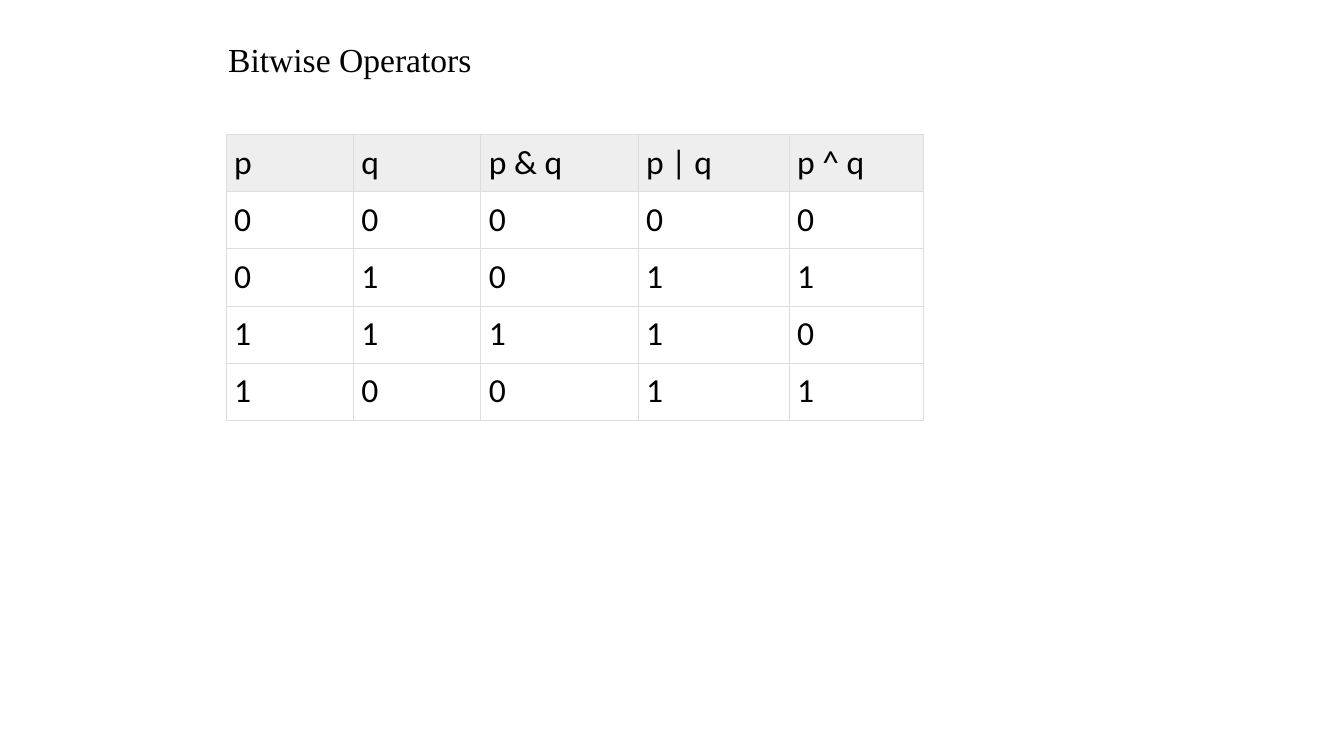
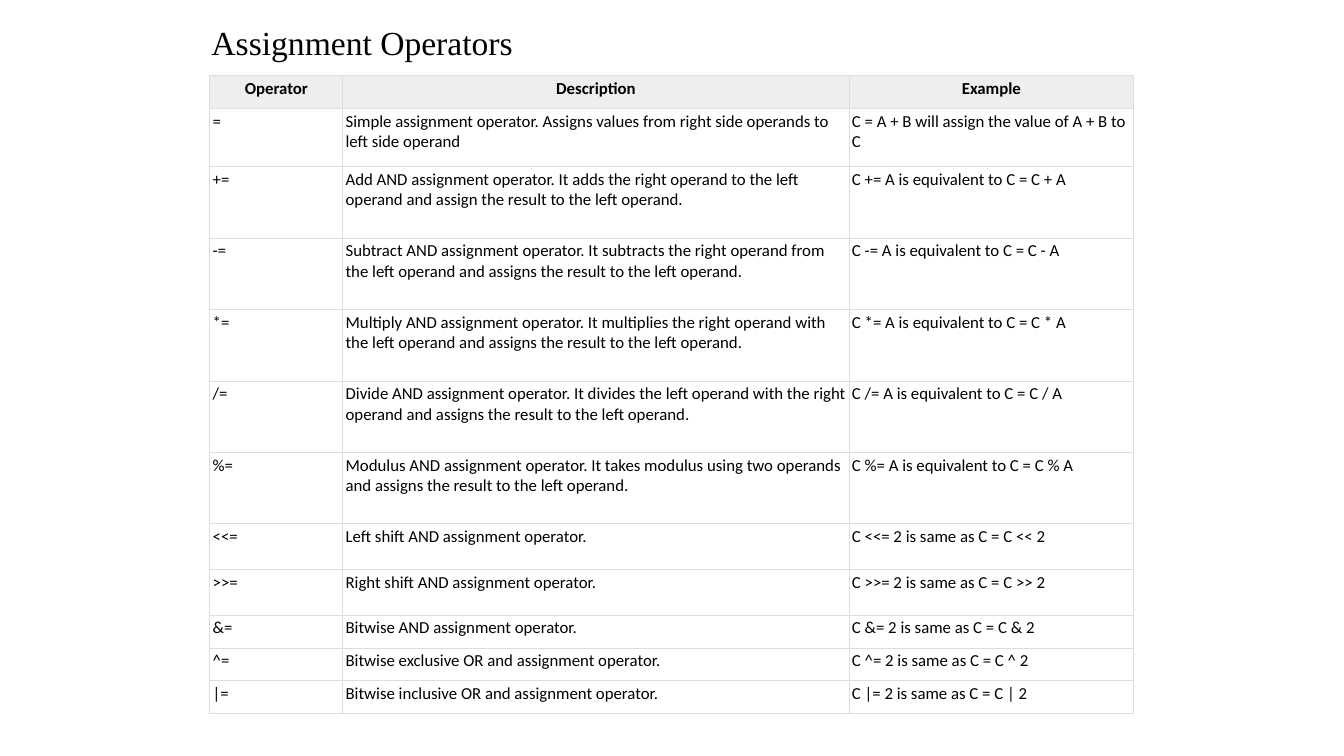
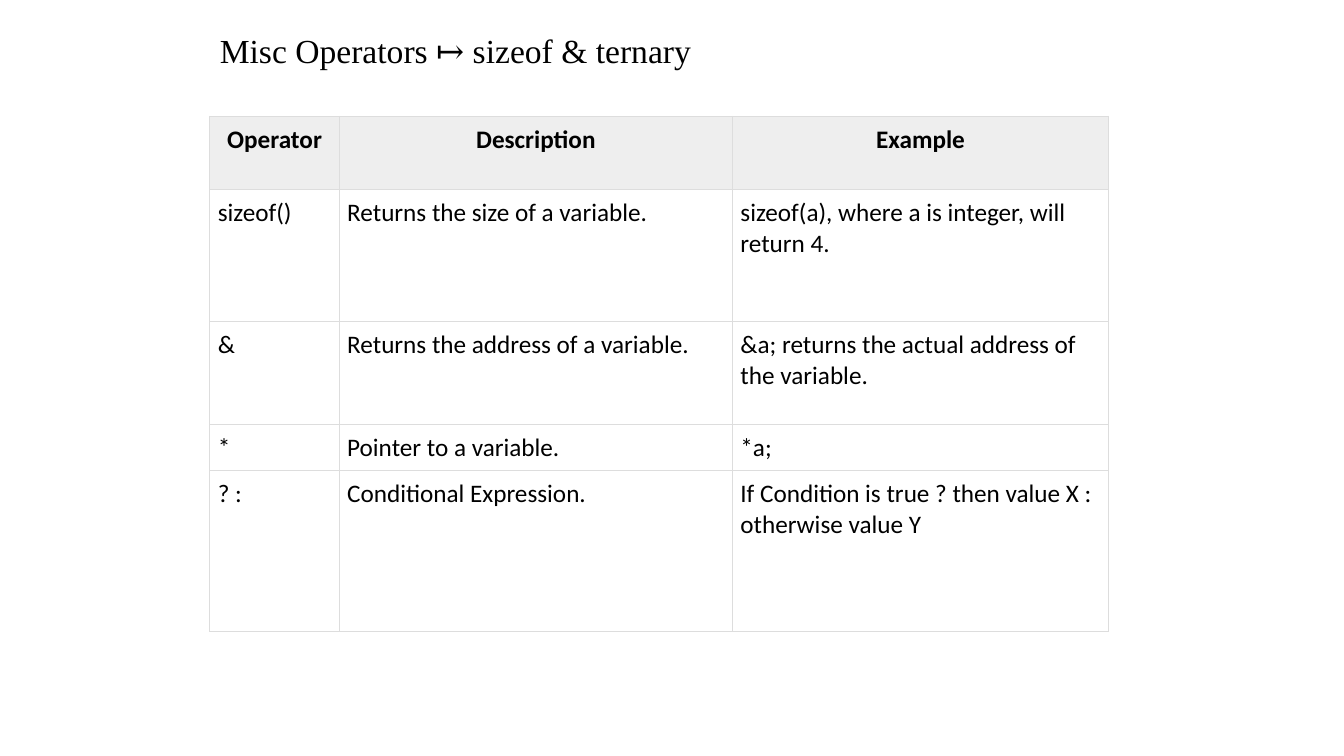
from lxml.etree import SubElement
from pptx import Presentation
from pptx.dml.color import RGBColor
from pptx.enum.text import MSO_AUTO_SIZE as AutoSize, PP_ALIGN as Align
from pptx.oxml.ns import qn
from pptx.util import Cm, Pt

COLORS = {"text": "000000", "header": "EEEEEE", "grid": "DDDDDD"}
TITLE_FONT, TABLE_FONT = "Times New Roman", "Calibri"
TITLE_SIZE, TITLE_HEIGHT = 24, 2.31
GRID_WIDTH = Pt(0.75)


def write(paragraph, text, font, size, bold=False):
    """Add one styled run to a paragraph."""
    run = paragraph.add_run()
    run.text = text
    run.font.name = font
    run.font.size = Pt(size)
    run.font.bold = bold
    run.font.color.rgb = RGBColor.from_string(COLORS["text"])


def add_title(slide, text, left, top, width):
    """Place the slide title in a box of the shared height."""
    title = slide.shapes.add_textbox(Cm(left), Cm(top), Cm(width), Cm(TITLE_HEIGHT))
    frame = title.text_frame
    frame.word_wrap = True
    frame.auto_size = AutoSize.SHAPE_TO_FIT_TEXT
    write(frame.paragraphs[0], text, TITLE_FONT, TITLE_SIZE)


def draw_grid(cell):
    """Draw thin grid lines on all four sides of a cell."""
    properties = cell._tc.get_or_add_tcPr()
    for side in ("a:lnL", "a:lnR", "a:lnT", "a:lnB"):
        line = SubElement(properties, qn(side), w=str(GRID_WIDTH))
        fill = SubElement(line, qn("a:solidFill"))
        SubElement(fill, qn("a:srgbClr"), val=COLORS["grid"])


def add_operator_table(slide, left, top, widths, heights, rows, size, inset,
                       strong_header=True):
    """Place a table with a shaded first row, sized by its columns and rows."""
    table = slide.shapes.add_table(
        len(rows), len(widths), Cm(left), Cm(top), Cm(sum(widths)), Cm(sum(heights))
    ).table
    table.first_row = table.horz_banding = False
    for column, width in zip(table.columns, widths):
        column.width = Cm(width)
    for row_index, (row, height) in enumerate(zip(rows, heights)):
        table.rows[row_index].height = Cm(height)
        is_header = row_index == 0
        for column_index, text in enumerate(row):
            cell = table.cell(row_index, column_index)
            cell.margin_left = cell.margin_right = Cm(inset)
            cell.margin_top = cell.margin_bottom = Cm(inset)
            draw_grid(cell)
            if is_header:
                cell.fill.solid()
                cell.fill.fore_color.rgb = RGBColor.from_string(COLORS["header"])
            else:
                cell.fill.background()
            paragraph = cell.text_frame.paragraphs[0]
            emphasized = is_header and strong_header
            paragraph.alignment = Align.CENTER if emphasized else Align.LEFT
            write(paragraph, text, TABLE_FONT, size, emphasized)


def bitwise_slide(slide):
    """Truth table of the bitwise operators."""
    add_title(slide, "Bitwise Operators", 5.5, 0.85, 19.9)
    truth_table = [("p", "q", "p & q", "p | q", "p ^ q"),
                   "00000", "01011", "11110", "10011"]
    add_operator_table(slide, 5.7, 3.39, [3.21, 3.21, 3.96, 3.81, 3.38],
                       [1.44] * len(truth_table), truth_table, 24, 0.2,
                       strong_header=False)


def assignment_slide(slide):
    """Reference table of the assignment operators."""
    add_title(slide, "Assignment Operators", 5.08, 0.42, 21.4)
    arithmetic = [
        ("+", "Add AND assignment operator. It adds the right operand to the left "
              "operand and assign the result to the left operand."),
        ("-", "Subtract AND assignment operator. It subtracts the right operand from "
              "the left operand and assigns the result to the left operand."),
        ("*", "Multiply AND assignment operator. It multiplies the right operand with "
              "the left operand and assigns the result to the left operand."),
        ("/", "Divide AND assignment operator. It divides the left operand with the "
              "right operand and assigns the result to the left operand."),
        ("%", "Modulus AND assignment operator. It takes modulus using two operands "
              "and assigns the result to the left operand."),
    ]
    bitwise = [
        ("<<", "Left shift AND assignment operator."),
        (">>", "Right shift AND assignment operator."),
        ("&", "Bitwise AND assignment operator."),
        ("^", "Bitwise exclusive OR and assignment operator."),
        ("|", "Bitwise inclusive OR and assignment operator."),
    ]
    rows = [
        ("Operator", "Description", "Example"),
        ("=", "Simple assignment operator. Assigns values from right side operands "
              "to left side operand", "C = A + B will assign the value of A + B to C"),
    ]
    rows += [(f"{sign}=", description, f"C {sign}= A is equivalent to C = C {sign} A")
             for sign, description in arithmetic]
    rows += [(f"{sign}=", description, f"C {sign}= 2 is same as C = C {sign} 2")
             for sign, description in bitwise]
    heights = [0.83, 1.47] + [1.8] * len(arithmetic) + [1.15] * 2 + [0.83] * 3
    add_operator_table(slide, 5.29, 1.9, [3.35, 12.76, 7.17], heights, rows, 12, 0.07)


def misc_slide(slide):
    """Reference table of sizeof, pointer and ternary operators."""
    add_title(slide, "Misc Operators \u21a6 sizeof & ternary", 5.29, 0.64, 22.65)
    rows = [
        ("Operator", "Description", "Example"),
        ("sizeof()", "Returns the size of a variable.",
         "sizeof(a), where a is integer, will return 4."),
        ("&", "Returns the address of a variable.",
         "&a; returns the actual address of the variable."),
        ("*", "Pointer to a variable.", "*a;"),
        ("? :", "Conditional Expression.",
         "If Condition is true ? then value X : otherwise value Y"),
    ]
    add_operator_table(slide, 5.29, 2.93, [3.26, 9.91, 9.48],
                       [1.85, 3.32, 2.59, 1.15, 4.05], rows, 18, 0.2)


def main():
    """Build the deck and save it."""
    deck = Presentation()
    deck.slide_width, deck.slide_height = Cm(33.87), Cm(19.05)
    blank = deck.slide_layouts[6]
    for build in (bitwise_slide, assignment_slide, misc_slide):
        build(deck.slides.add_slide(blank))
    deck.save("out.pptx")


main()
